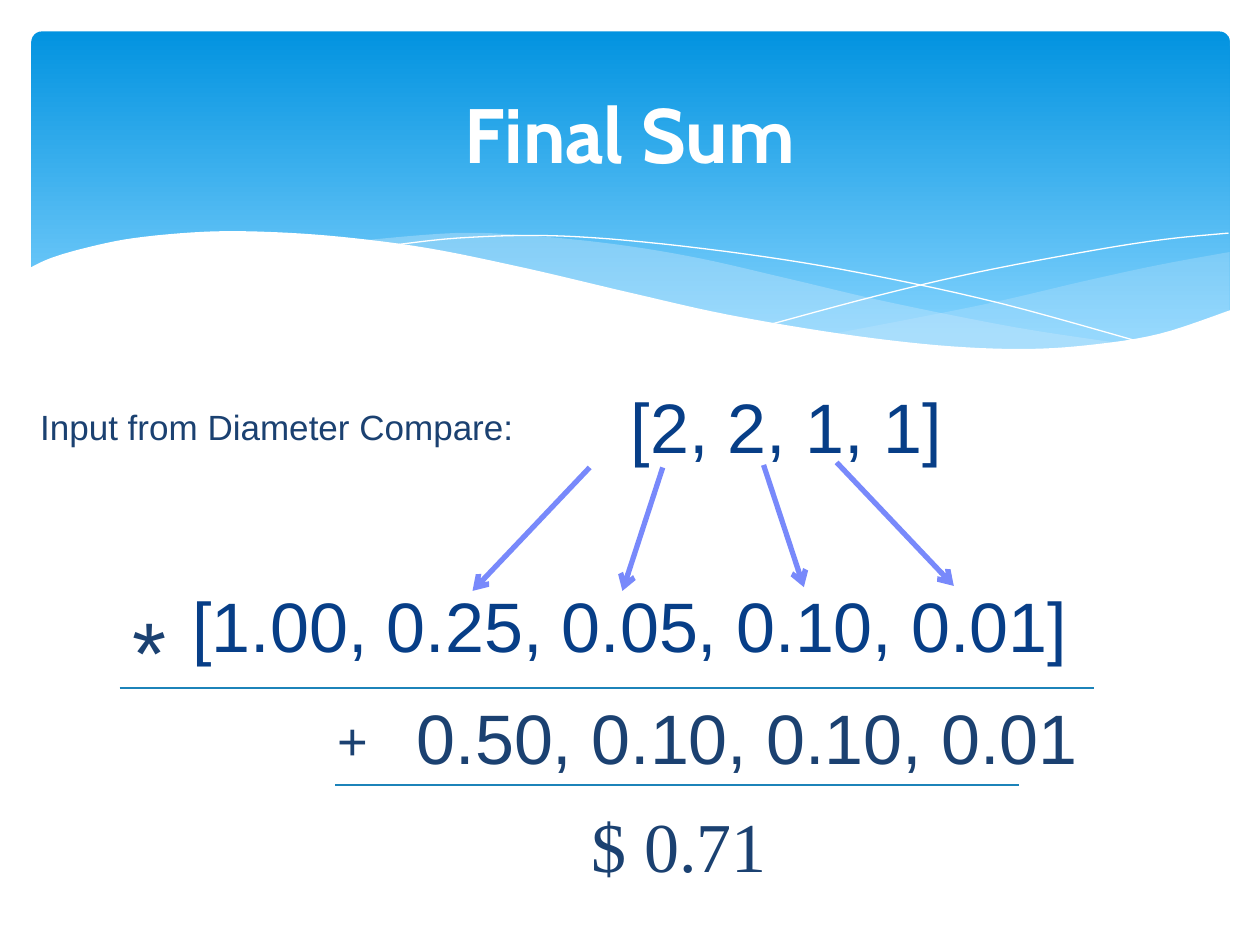
from itertools import chain

from lxml import etree
from pptx import Presentation
from pptx.dml.color import RGBColor
from pptx.enum.shapes import MSO_CONNECTOR, MSO_SHAPE
from pptx.enum.text import MSO_ANCHOR, MSO_AUTO_SIZE, PP_ALIGN
from pptx.oxml.ns import qn
from pptx.util import Inches, Pt

ROUNDED = MSO_SHAPE.ROUNDED_RECTANGLE
STRAIGHT = MSO_CONNECTOR.STRAIGHT
CENTER = PP_ALIGN.CENTER
MIDDLE, TOP = MSO_ANCHOR.MIDDLE, MSO_ANCHOR.TOP
GROW, FIXED = MSO_AUTO_SIZE.SHAPE_TO_FIT_TEXT, MSO_AUTO_SIZE.NONE

COLUMNS, ROWS = 100, 75
CELL = Inches(0.1)
CURVE_STEPS = 6
COLORS = {
    "sky": "0293E0", "pale_sky": "83D3FE", "mist": "C6E7FC", "white": "FFFFFF",
    "list": "073E87", "ink": "1B4171", "arrow": "7889FB", "rule": "1C83B9",
}

RIGHT_SWELL = [
    [(97.6, 20), (92.1, 21), (86.1, 22.3), (77.9, 24.2), (66.1, 26.5)],
    [(66.1, 26.5), (75.7, 27.6), (82.4, 27.7), (88.9, 27.2), (93.5, 26.2), (97.6, 24.7)],
]
MIDDLE_SWELL = [
    [(89.3, 27.3), (80.7, 26), (70.6, 24), (62.9, 22.2), (55.5, 20.5),
     (48.9, 19.4), (42, 18.7), (36.1, 18.5), (28.6, 19.1)],
    [(28.6, 19.1), (36.2, 20.3), (44.9, 22.2), (56.6, 24.8), (66.5, 26.6),
     (76.1, 27.7), (82.8, 27.8), (89.3, 27.3)],
]
FALLING_LINE = [[(30.9, 19.5), (36.3, 18.9), (43.3, 18.7), (51, 19.2), (60.8, 20.4),
                 (69.5, 21.9), (79.5, 24.1), (90.7, 27.2)]]
RISING_LINE = [[(61.3, 25.7), (69.5, 23.5), (77.6, 21.6), (86.6, 19.9),
                (92.4, 19), (97.5, 18.5)]]
WHITE_WAVE = [
    [(97.7, 24.6), (92, 26.5), (86.3, 27.4), (80.9, 27.7), (74.4, 27.4), (66.8, 26.5),
     (57.9, 25), (50.3, 23.3), (41.8, 21.3), (34, 19.7), (27.1, 18.8), (21.1, 18.4),
     (16.1, 18.4), (10.6, 18.9), (6.7, 19.7), (4, 20.5), (2.3, 21.3)],
    [(2.3, 32.9), (97.7, 32.9)],
]

ARROWS = [
    ((46.8, 37.1), (37.5, 46.9)),
    ((52.6, 37.1), (49.4, 46.9)),
    ((60.6, 36.9), (63.8, 46.6)),
    ((66.4, 36.7), (75.7, 46.5)),
]
RULES = [((9.5, 54.6), (86.8, 54.6)), ((26.6, 62.3), (80.9, 62.3))]
LABELS = [
    ("Input from Diameter Compare:", (2.2, 31.7, 39.9, 4.4), 20, "Arial"),
    ("*", (9.5, 46.9, 4.7, 9.4), 50, "Arial"),
    ("+", (25.8, 55.7, 4.5, 6.1), 30, "Arial"),
    ("0.50, 0.10, 0.10, 0.01", (32.1, 54.6, 55, 7.7), 40, "Arial"),
    ("$ 0.71", (46, 63.2, 16, 7.7), 40, "Times New Roman"),
]


def cells(*lengths):
    return [round(length * CELL) for length in lengths]


def color(name):
    return RGBColor.from_string(COLORS[name])


def set_all(target, values):
    for name, value in values.items():
        setattr(target, name, value)


def format_font(font, size, name, color_name, bold=False):
    set_all(font, {"size": Pt(size), "name": name, "bold": bold})
    font.color.rgb = color(color_name)


def place(shape, box):
    set_all(shape, dict(zip(("left", "top", "width", "height"), cells(*box))))


def smooth_curve(knots):
    padded = [knots[0], *knots, knots[-1]]
    points = [knots[0]]
    for a, b, c, d in zip(padded, padded[1:], padded[2:], padded[3:]):
        for step in range(1, CURVE_STEPS + 1):
            t = step / CURVE_STEPS
            points.append(tuple(
                q + t * (r - p) / 2
                + t ** 2 * (2 * p - 5 * q + 4 * r - s) / 2
                + t ** 3 * (3 * q - p - 3 * r + s) / 2
                for p, q, r, s in zip(a, b, c, d)))
    return points


def add_wave(slide, curves, fill=None, opacity=100):
    points = [cells(*point) for point in chain.from_iterable(map(smooth_curve, curves))]
    builder = slide.shapes.build_freeform(*points[0])
    builder.add_line_segments(points[1:], close=fill is not None)
    shape = builder.convert_to_shape()
    shape.shadow.inherit = False
    if fill is None:
        shape.fill.background()
        shape.line.color.rgb = color("white")
        shape.line.width = Pt(0)
        return
    shape.line.fill.background()
    shape.fill.solid()
    shape.fill.fore_color.rgb = color(fill)
    if opacity < 100:
        solid = shape._element.spPr.find(qn("a:solidFill"))
        etree.SubElement(solid[0], qn("a:alpha"), val=str(opacity * 1000))


def add_banner(slide):
    banner = slide.shapes.add_shape(ROUNDED, *cells(2.5, 2.5, 95.1, 27))
    banner.adjustments[0] = 0.03
    banner.shadow.inherit = False
    banner.line.fill.background()
    banner.fill.gradient()
    banner.fill.gradient_angle = 270
    for stop, name, position in zip(banner.fill.gradient_stops, ("sky", "pale_sky"), (0, 0.9)):
        stop.color.rgb = color(name)
        stop.position = position
    add_wave(slide, RIGHT_SWELL, "mist", 29)
    add_wave(slide, MIDDLE_SWELL, "mist", 40)
    add_wave(slide, FALLING_LINE)
    add_wave(slide, RISING_LINE)
    add_wave(slide, WHITE_WAVE, "white")


def add_line(slide, start, end, color_name, width, arrow=False):
    line = slide.shapes.add_connector(STRAIGHT, *cells(*start, *end))
    line.line.color.rgb = color(color_name)
    line.line.width = Pt(width)
    if arrow:
        etree.SubElement(line.line._get_or_add_ln(), qn("a:tailEnd"), type="arrow")
    etree.SubElement(line._element.spPr, qn("a:effectLst"))


def add_label(slide, text, box, size, font_name):
    frame = slide.shapes.add_textbox(*cells(*box)).text_frame
    set_all(frame, {"word_wrap": False, "auto_size": GROW, "text": text})
    format_font(frame.paragraphs[0].runs[0].font, size, font_name, "ink")


def fill_title(title):
    place(title, (5, 3.7, 90, 13.7))
    frame = title.text_frame
    set_all(frame, {"text": "Final Sum", "vertical_anchor": MIDDLE, "auto_size": FIXED})
    frame.paragraphs[0].alignment = CENTER
    format_font(frame.paragraphs[0].runs[0].font, 44, "Cabin", "white", True)


def fill_lists(body):
    place(body, (9.5, 29.3, 81, 27))
    frame = body.text_frame
    set_all(frame, {"text": "[2, 2, 1, 1]\n[1.00, 0.25, 0.05, 0.10, 0.01]",
                    "vertical_anchor": TOP, "auto_size": FIXED, "margin_top": Inches(0.11)})
    for paragraph, indent, gap in zip(frame.paragraphs, (24.8, 0), (0, 66)):
        properties = paragraph._p.get_or_add_pPr()
        properties.set("marL", str(*cells(indent)))
        properties.set("indent", "0")
        etree.SubElement(properties, qn("a:buNone"))
        set_all(paragraph, {"alignment": CENTER, "space_before": Pt(gap)})
        format_font(paragraph.runs[0].font, 40, "Arial", "list")


def main():
    presentation = Presentation()
    set_all(presentation, {"slide_width": COLUMNS * CELL, "slide_height": ROWS * CELL})
    slide = presentation.slides.add_slide(presentation.slide_layouts[1])
    title, body = slide.placeholders
    add_banner(slide)
    for placeholder in (body, title):
        slide.shapes._spTree.append(placeholder._element)
    fill_title(title)
    fill_lists(body)
    for start, end in ARROWS:
        add_line(slide, start, end, "arrow", 3, arrow=True)
    for start, end in RULES:
        add_line(slide, start, end, "rule", 1.25)
    for label in LABELS:
        add_label(slide, *label)
    presentation.save("out.pptx")


if __name__ == "__main__":
    main()
